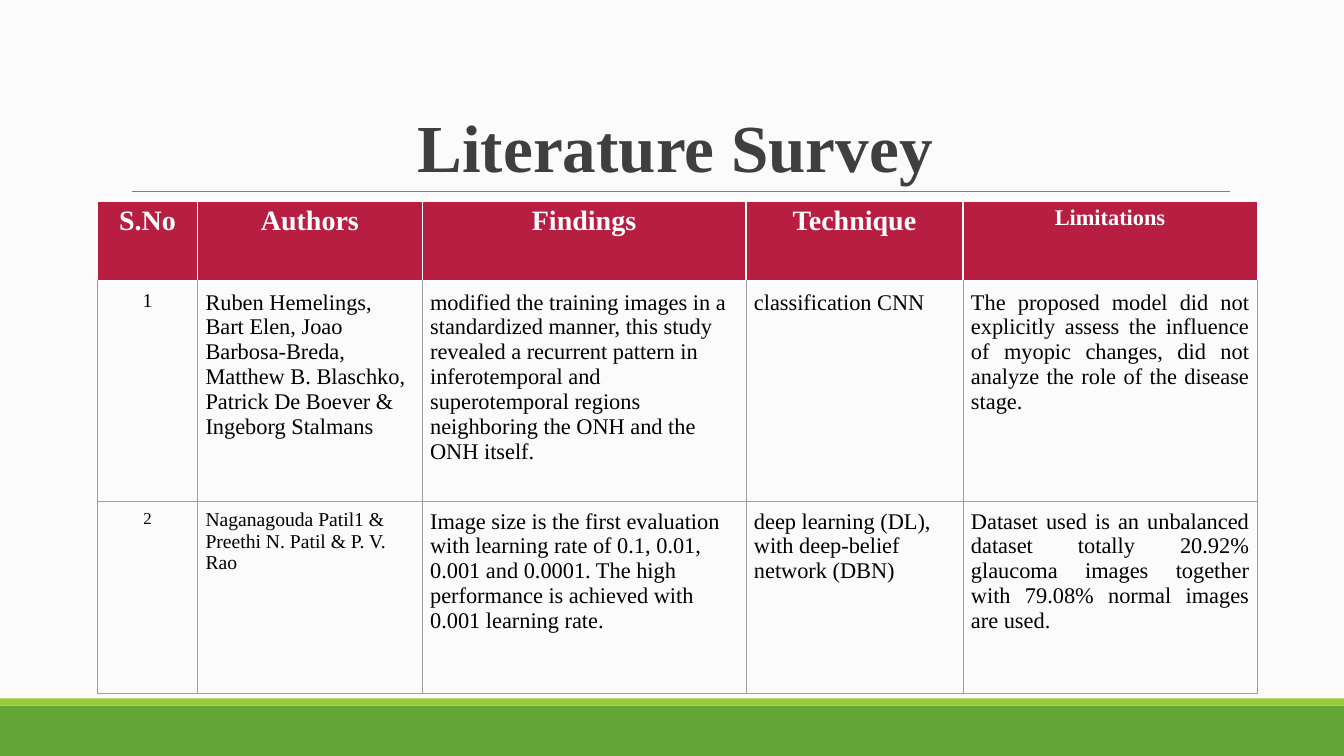
from lxml import etree
from pptx import Presentation
from pptx import util as u
from pptx.dml.color import RGBColor
from pptx.enum import shapes, text
from pptx.oxml.ns import qn

GREY, WHITE = ("9E9E9E", 0.75), ("FFFFFF", 1)
THICK = ("FFFFFF", 3)
LEFT, CENTER, JUSTIFY = text.PP_ALIGN.LEFT, text.PP_ALIGN.CENTER, text.PP_ALIGN.JUSTIFY


def write(tf, words, size, color="000000", bold=False, align=LEFT, spacing=1.0):
    p = tf.paragraphs[0]
    p.alignment, p.line_spacing = align, spacing
    r = p.add_run()
    r.text = words
    r.font.name, r.font.size, r.font.bold = "Times New Roman", u.Pt(size), bold
    r.font.color.rgb = RGBColor.from_string(color)


def set_borders(cell, **sides):
    """Add cell borders, given in the order L, R, T, B as (colour, points)."""
    for side, (color, width) in sides.items():
        ln = etree.SubElement(cell._tc.get_or_add_tcPr(), qn("a:ln" + side), w=str(u.Pt(width)))
        fill = etree.SubElement(ln, qn("a:solidFill"))
        etree.SubElement(fill, qn("a:srgbClr"), val=color)


prs = Presentation()
prs.slide_width, prs.slide_height = u.Cm(33.87), u.Cm(19.05)
s = prs.slides.add_slide(prs.slide_layouts[6])
s.background.fill.solid()
s.background.fill.fore_color.rgb = RGBColor.from_string("FBFBFB")

# Footer bands
for top, height, color in [(17.78, 1.27, "63A537"), (17.6, 0.18, "99CB38")]:
    sp = s.shapes.add_shape(shapes.MSO_SHAPE.RECTANGLE, 0, u.Cm(top), prs.slide_width, u.Cm(height))
    sp.shadow.inherit = False
    sp.fill.solid()
    sp.fill.fore_color.rgb = RGBColor.from_string(color)
    sp.line.fill.background()

# Title and rule
rule = s.shapes.add_connector(shapes.MSO_CONNECTOR.STRAIGHT, u.Cm(3.33), u.Cm(4.82), u.Cm(31), u.Cm(4.82))
rule.line.color.rgb = RGBColor.from_string("7F7F7F")
rule.line.width = u.Pt(0.75)
etree.SubElement(rule._element.spPr, qn("a:effectLst"))

title = s.shapes.add_textbox(u.Cm(3.05), u.Cm(0.79), u.Cm(27.94), u.Cm(4.04))
tf = title.text_frame
tf.word_wrap = True
tf.vertical_anchor = text.MSO_ANCHOR.BOTTOM
write(tf, "Literature Survey", 48, "3F3F3F", bold=True, align=CENTER, spacing=0.85)

# Survey table
headers = [("S.No", 20), ("Authors", 20), ("Findings", 20), ("Technique", 20), ("Limitations", 16)]
studies = [
    [("1", 14),
     ("Ruben Hemelings, Bart Elen, Joao Barbosa‑Breda, Matthew B. Blaschko, "
      "Patrick De Boever & Ingeborg Stalmans", 16),
     ("modified the training images in a standardized manner, this study revealed a recurrent "
      "pattern in inferotemporal and superotemporal regions neighboring the ONH and the ONH itself.", 16),
     ("classification CNN", 16),
     ("The proposed model did not explicitly assess the influence of myopic changes, "
      "did not analyze the role of the disease stage.", 16)],
    [("2", 12),
     ("Naganagouda Patil1 & Preethi N. Patil & P. V. Rao", 14),
     ("Image size is the first evaluation with learning rate of 0.1, 0.01, 0.001 and 0.0001. "
      "The high performance is achieved with 0.001 learning rate.", 16),
     ("deep learning (DL), with deep-belief network (DBN)", 16),
     ("Dataset used is an unbalanced dataset totally 20.92% glaucoma images together "
      "with 79.08% normal images are used.", 16)],
]
col_widths = [2.52, 5.66, 8.16, 5.47, 7.41]
row_heights = [2.03, 5.52, 4.84]
col_aligns = [CENTER, LEFT, LEFT, LEFT, JUSTIFY]

table = s.shapes.add_table(len(row_heights), len(col_widths), u.Cm(2.46), u.Cm(5.08),
                           u.Cm(sum(col_widths)), u.Cm(sum(row_heights))).table
table.horz_banding = False
for col, width in zip(table.columns, col_widths):
    col.width = u.Cm(width)
for row, height in zip(table.rows, row_heights):
    row.height = u.Cm(height)

for i, entries in enumerate([headers] + studies):
    for j, (words, size) in enumerate(entries):
        cell = table.cell(i, j)
        is_header = i == 0
        side_margin, end_margin = (0.13, 0.1) if is_header else (0.2, 0.2)
        cell.margin_left = cell.margin_right = u.Cm(side_margin)
        cell.margin_top = cell.margin_bottom = u.Cm(end_margin)
        if is_header:
            set_borders(cell, L=WHITE, R=WHITE, T=WHITE, B=THICK)
            cell.fill.solid()
            cell.fill.fore_color.rgb = RGBColor.from_string("B71E42")
            write(cell.text_frame, words, size, "FFFFFF", bold=True, align=CENTER)
        else:
            set_borders(cell, L=GREY, R=GREY, T=THICK if i == 1 else GREY, B=GREY)
            cell.fill.background()
            write(cell.text_frame, words, size, align=col_aligns[j])

prs.save("out.pptx")
